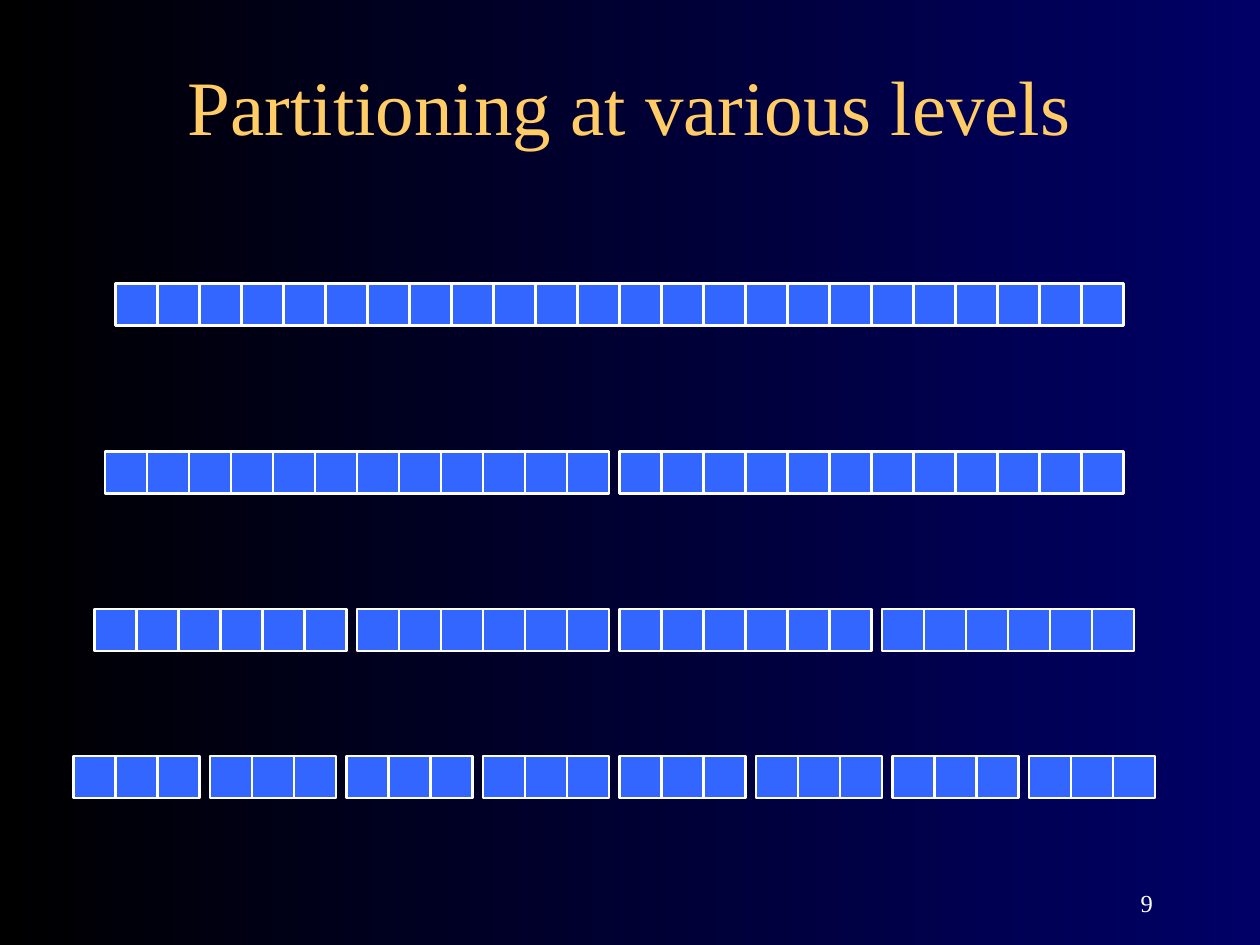
from dataclasses import dataclass

from pptx import Presentation
from pptx.dml.color import RGBColor
from pptx.enum.shapes import MSO_SHAPE
from pptx.enum.text import MSO_ANCHOR, MSO_AUTO_SIZE, PP_ALIGN
from pptx.util import Cm, Pt

TITLE = "Partitioning at various levels"
PAGE_NUMBER = "9"
CELLS_PER_LEVEL = 24

LEVELS = [
    {"parts": 1, "left": 11, "top": 27},
    {"parts": 2, "left": 10, "top": 43},
    {"parts": 4, "left": 9, "top": 58},
    {"parts": 8, "left": 7, "top": 72},
]
GRID = 2.54 / 12
CELL = 4
GAP = 1


@dataclass(frozen=True)
class Theme:
    font: str = "Times New Roman"
    title: RGBColor = RGBColor(0xFF, 0xCC, 0x66)
    text: RGBColor = RGBColor(0xFF, 0xFF, 0xFF)
    cell: RGBColor = RGBColor(0x33, 0x66, 0xFF)
    outline: RGBColor = RGBColor(0xFF, 0xFF, 0xFF)
    background: tuple = (RGBColor(0x00, 0x00, 0x66), RGBColor(0x00, 0x00, 0x00))
    title_size: int = 44
    number_size: int = 14
    outline_width: float = 1.25


THEME = Theme()


def grid(units):
    return Cm(units * GRID)


def write(box, text, *, size, color, align, anchor):
    frame = box.text_frame
    frame.word_wrap = True
    frame.auto_size = MSO_AUTO_SIZE.NONE
    frame.vertical_anchor = anchor
    para = frame.paragraphs[0]
    para.alignment = align
    span = para.add_run()
    span.text = text
    span.font.name = THEME.font
    span.font.size = Pt(size)
    span.font.color.rgb = color


def paint_background(page):
    fill = page.background.fill
    fill.gradient()
    fill.gradient_angle = 180
    for stop, color in zip(fill.gradient_stops, THEME.background):
        stop.color.rgb = color


def add_cell(group, left, top):
    cell = group.shapes.add_shape(
        MSO_SHAPE.RECTANGLE, grid(left), grid(top), grid(CELL), grid(CELL)
    )
    cell.shadow.inherit = False
    cell.fill.solid()
    cell.fill.fore_color.rgb = THEME.cell
    cell.line.color.rgb = THEME.outline
    cell.line.width = Pt(THEME.outline_width)


def add_level(page, parts, left, top):
    group = page.shapes.add_group_shape()
    cells_per_part = CELLS_PER_LEVEL // parts
    for index in range(CELLS_PER_LEVEL):
        part = index // cells_per_part
        add_cell(group, left + index * CELL + part * GAP, top)


def main():
    deck = Presentation()
    deck.slide_width, deck.slide_height = Cm(25.4), Cm(19.05)
    page = deck.slides.add_slide(deck.slide_layouts[5])
    paint_background(page)

    title = page.shapes.title
    title.left, title.top, title.width, title.height = map(grid, (9, 5, 102, 10))
    write(title, TITLE, size=THEME.title_size, color=THEME.title,
          align=PP_ALIGN.CENTER, anchor=MSO_ANCHOR.MIDDLE)

    for level in LEVELS:
        add_level(page, **level)

    number = page.shapes.add_textbox(*map(grid, (86, 82, 25, 6)))
    write(number, PAGE_NUMBER, size=THEME.number_size, color=THEME.text,
          align=PP_ALIGN.RIGHT, anchor=MSO_ANCHOR.BOTTOM)

    deck.save("out.pptx")


if __name__ == "__main__":
    main()
